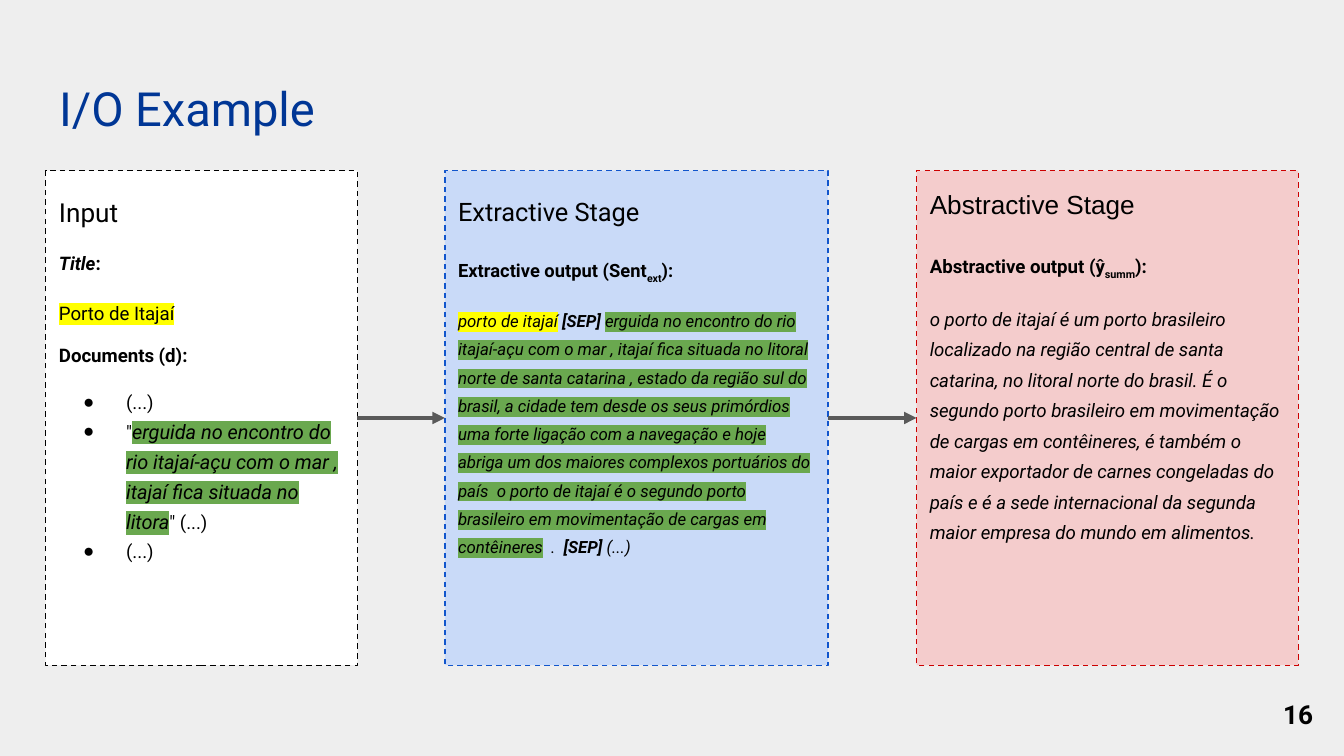
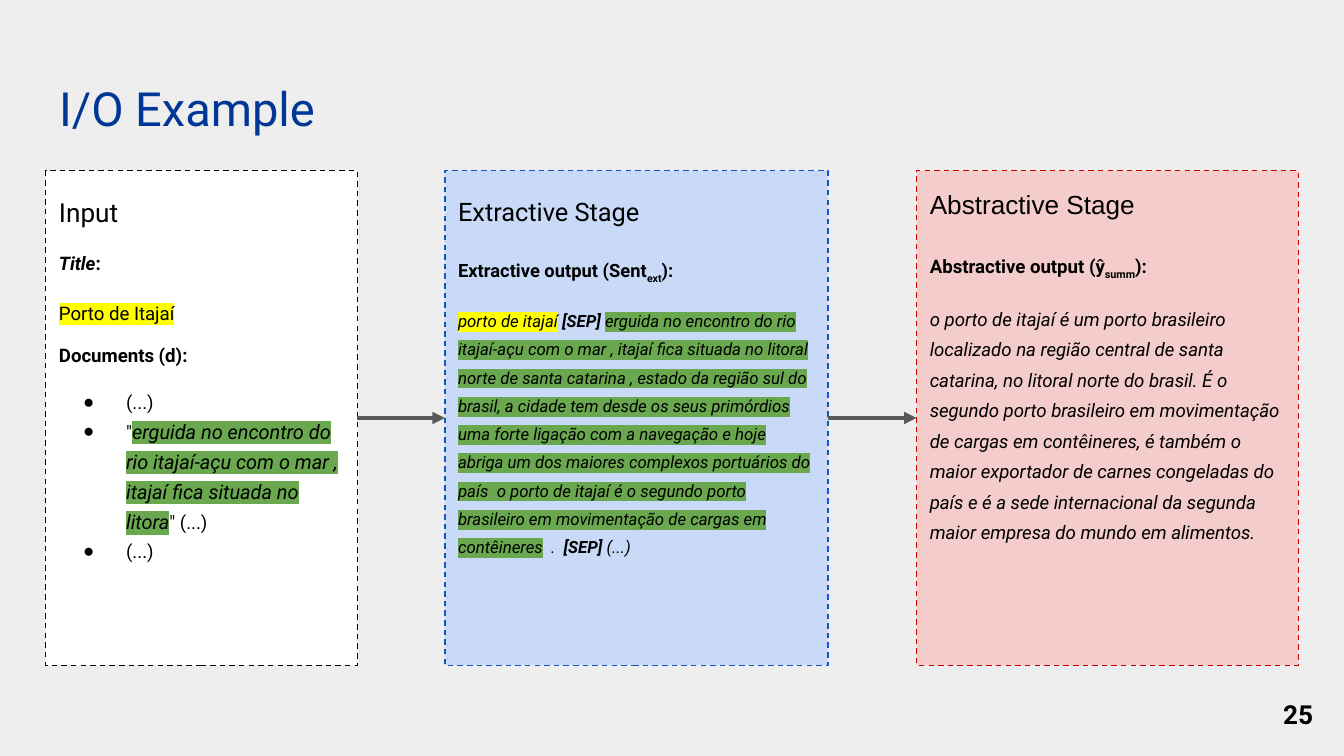
from dataclasses import dataclass

from lxml.etree import SubElement
from pptx import Presentation
from pptx.dml.color import RGBColor
from pptx.enum.dml import MSO_LINE
from pptx.enum.shapes import MSO_CONNECTOR, MSO_SHAPE
from pptx.enum.text import MSO_ANCHOR, MSO_AUTO_SIZE, PP_ALIGN
from pptx.oxml.ns import qn
from pptx.util import Inches, Pt

# Shared look
BACKGROUND, TITLE_BLUE, BLACK, ARROW_GRAY = "EEEEEE", "003695", "000000", "595959"
YELLOW, GREEN = "FFFF00", "6AA84F"
FONT, BULLET_FONT = "Roboto", "Arial"
PANEL_TOP, PANEL_HEIGHT = 1.27, 3.68
TITLE_ONLY = 5
RIGHT_SITE, LEFT_SITE = 3, 1


@dataclass
class Span:
    text: str
    size: float = 10
    bold: bool = False
    italic: bool = False
    highlight: str = ""
    subscript: bool = False
    font: str = FONT
    color: str = BLACK


@dataclass
class Para:
    spans: list
    spacing: float = 1.0
    before: float = 0
    bullet: bool = False
    align: PP_ALIGN = PP_ALIGN.LEFT


@dataclass
class Panel:
    left: float
    width: float
    fill: str
    line: str
    paras: list


def input_paras():
    return [
        Para([Span("Input", 14)], 1.4),
        Para([Span("Title", bold=True, italic=True), Span(":", bold=True)], 1.05, 12),
        Para([Span("Porto de Itajaí", highlight=YELLOW)], 1.4, 10),
        Para([Span("Documents (d):", bold=True)], 1.05, 10),
        Para([Span("(...)")], 1.26, 10, bullet=True),
        Para([
            Span('"'),
            Span("erguida no encontro do rio itajaí-açu com o mar , itajaí fica "
                 "situada no litora", 10.7, italic=True, highlight=GREEN),
            Span('" (...)'),
        ], 1.26, bullet=True),
        Para([Span("(...)")], 1.26, bullet=True),
    ]


def output_heading(label, subscript, size, spacing):
    return Para([
        Span(label, size, bold=True),
        Span(subscript, size, bold=True, subscript=True),
        Span("):", size, bold=True),
    ], spacing, 12)


def extractive_paras():
    def quote(text, **style):
        return Span(text, 9.03, italic=True, **style)

    return [
        Para([Span("Extractive Stage", 13.6)], 1.4),
        output_heading("Extractive output (Sent", "ext", 9.8, 1.4),
        Para([
            quote("porto de itajaí", highlight=YELLOW),
            quote(" "),
            quote("[SEP] ", bold=True),
            quote("erguida no encontro do rio itajaí-açu com o mar , itajaí fica situada "
                  "no litoral norte de santa catarina , estado da região sul do brasil, a "
                  "cidade tem desde os seus primórdios uma forte ligação com a navegação e "
                  "hoje abriga um dos maiores complexos portuários do país  o porto de "
                  "itajaí é o segundo porto brasileiro em movimentação de cargas em "
                  "contêineres", highlight=GREEN),
            quote("  .  "),
            quote("[SEP]", bold=True),
            quote(" (...)"),
        ], 1.4, 10),
    ]


def abstractive_paras():
    return [
        Para([Span("Abstractive Stage", 14, font="Arial")], 1.15),
        output_heading("Abstractive output (ŷ", "summ", 10, 1.5),
        Para([Span(
            "o porto de itajaí é um porto brasileiro localizado na região central de santa "
            "catarina, no litoral norte do brasil. É o segundo porto brasileiro em "
            "movimentação de cargas em contêineres, é também o maior exportador de carnes "
            "congeladas do país e é a sede internacional da segunda maior empresa do mundo "
            "em alimentos.", italic=True)], 1.36, 10),
    ]


PANELS = [
    Panel(0.34, 2.32, "FFFFFF", BLACK, input_paras()),
    Panel(3.31, 2.85, "C9DAF8", "1155CC", extractive_paras()),
    Panel(6.82, 2.84, "F4CCCC", "CC0000", abstractive_paras()),
]


# Text helpers
def paint(color_format, color):
    color_format.rgb = RGBColor.from_string(color)


def add_span(paragraph, span):
    run = paragraph.add_run()
    run.text = span.text
    font = run.font
    font.name, font.size = span.font, Pt(span.size)
    font.bold, font.italic = span.bold, span.italic
    font.fill.solid()
    paint(font.fill.fore_color, span.color)
    properties = run._r.get_or_add_rPr()
    if span.subscript:
        properties.set("baseline", "-25000")
    if span.highlight:
        highlight = SubElement(properties, qn("a:highlight"))
        SubElement(highlight, qn("a:srgbClr"), val=span.highlight)
        properties.find(qn("a:solidFill")).addnext(highlight)


def add_bullet(paragraph):
    properties = paragraph._p.get_or_add_pPr()
    properties.set("marL", str(Inches(0.5)))
    properties.set("indent", str(Inches(-0.32)))
    color = SubElement(properties, qn("a:buClr"))
    SubElement(color, qn("a:srgbClr"), val=BLACK)
    SubElement(properties, qn("a:buFont"), typeface=BULLET_FONT)
    SubElement(properties, qn("a:buChar"), char="●")


def write(shape, paras, anchor=MSO_ANCHOR.TOP):
    frame = shape.text_frame
    frame.word_wrap = True
    frame.auto_size = MSO_AUTO_SIZE.NONE
    frame.vertical_anchor = anchor
    frame.margin_left = frame.margin_right = Inches(0.1)
    frame.margin_top = frame.margin_bottom = Inches(0.1)
    for index, para in enumerate(paras):
        paragraph = frame.add_paragraph() if index else frame.paragraphs[0]
        paragraph.alignment = para.align
        paragraph.line_spacing = para.spacing
        paragraph.space_before = Pt(para.before)
        if para.bullet:
            add_bullet(paragraph)
        for span in para.spans:
            add_span(paragraph, span)


# Regions of the slide
def add_title(page, text, left, top, width, height):
    title = page.shapes.title
    title.left, title.top = Inches(left), Inches(top)
    title.width, title.height = Inches(width), Inches(height)
    write(title, [Para([Span(text, 25.2, color=TITLE_BLUE)])])


def add_page_number(page, number, left, top, width, height):
    box = page.shapes.add_textbox(Inches(left), Inches(top), Inches(width), Inches(height))
    write(box, [Para([Span(str(number), 14, bold=True)], align=PP_ALIGN.RIGHT)],
          MSO_ANCHOR.MIDDLE)


def add_panel(page, panel):
    box = page.shapes.add_shape(
        MSO_SHAPE.RECTANGLE, Inches(panel.left), Inches(PANEL_TOP),
        Inches(panel.width), Inches(PANEL_HEIGHT))
    box.shadow.inherit = False
    box.fill.solid()
    paint(box.fill.fore_color, panel.fill)
    paint(box.line.color, panel.line)
    box.line.width = Pt(0.75)
    box.line.dash_style = MSO_LINE.DASH
    write(box, panel.paras)
    return box


def add_arrow(page, source, target):
    arrow = page.shapes.add_connector(MSO_CONNECTOR.STRAIGHT, 0, 0, 0, 0)
    arrow.begin_connect(source, RIGHT_SITE)
    arrow.end_connect(target, LEFT_SITE)
    paint(arrow.line.color, ARROW_GRAY)
    arrow.line.width = Pt(2.25)
    SubElement(arrow.line._get_or_add_ln(), qn("a:tailEnd"), type="triangle")
    SubElement(arrow._element.spPr, qn("a:effectLst"))


def add_example_slide(deck, number):
    page = deck.slides.add_slide(deck.slide_layouts[TITLE_ONLY])
    page.background.fill.solid()
    paint(page.background.fill.fore_color, BACKGROUND)
    add_title(page, "I/O Example", 0.34, 0.49, 9.32, 0.63)
    add_page_number(page, number, 9.27, 5.1, 0.6, 0.43)
    boxes = [add_panel(page, panel) for panel in PANELS]
    for source, target in zip(boxes, boxes[1:]):
        add_arrow(page, source, target)


def main():
    deck = Presentation()
    # Widescreen, 16:9
    deck.slide_width = Inches(10)
    deck.slide_height = deck.slide_width * 9 // 16
    for number in (16, 25):
        add_example_slide(deck, number)
    deck.save("out.pptx")


if __name__ == "__main__":
    main()
